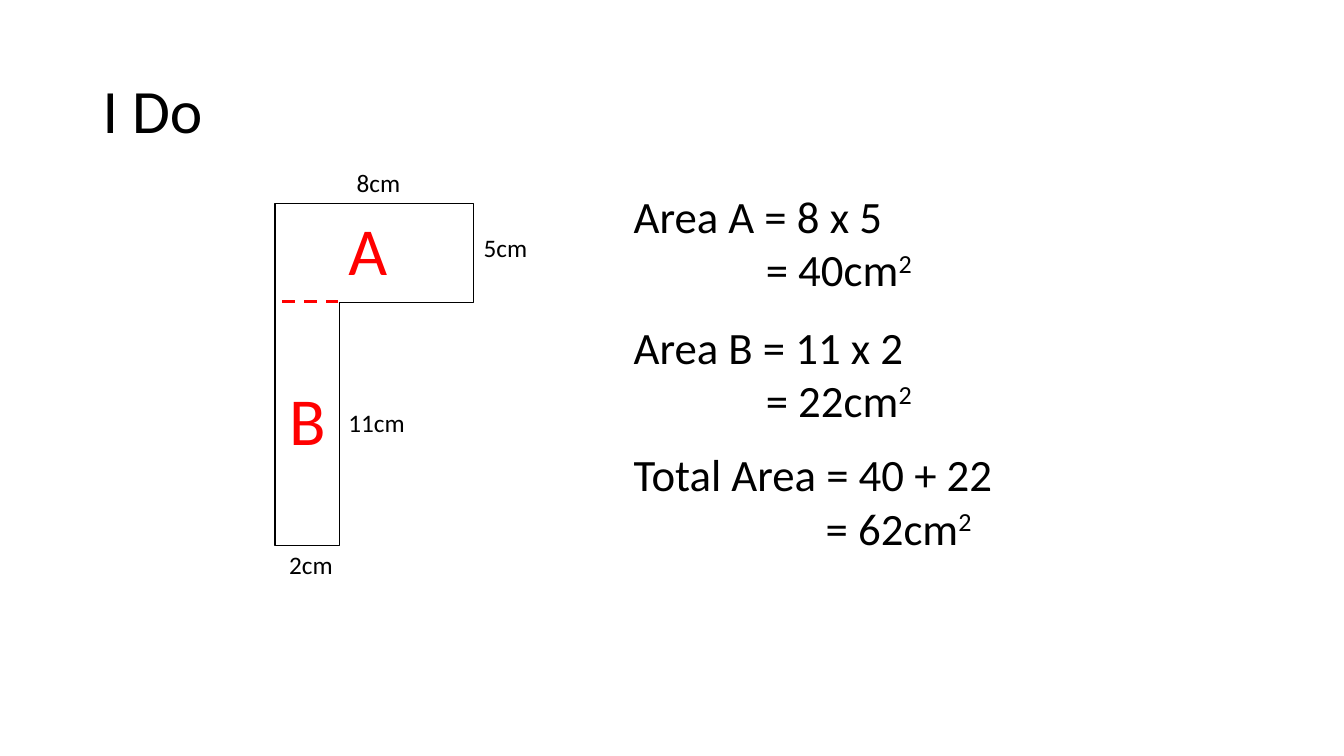
from lxml import etree
from pptx import Presentation
from pptx import util as u
from pptx.dml.color import RGBColor
from pptx.enum import dml, shapes, text
from pptx.oxml.ns import qn

BLACK, RED, WHITE = "000000", "FF0000", "FFFFFF"


def colour(value):
    return RGBColor.from_string(value)


def add_text(page, place, lines, size, ink=BLACK):
    box = page.shapes.add_textbox(*[u.Cm(length) for length in place])
    box.text_frame.word_wrap = True
    box.text_frame.text = "\n".join(lines)
    for para in box.text_frame.paragraphs:
        para.font.name = "Calibri"
        para.font.size = u.Pt(size)
        para.font.color.rgb = colour(ink)
    return box


deck = Presentation()
deck.slide_width, deck.slide_height = u.Cm(33.87), u.Cm(19.05)
page = deck.slides.add_slide(deck.slide_layouts[6])

# Title
title = add_text(page, (2.34, 1.02, 29.21, 3.68), ["I Do"], 44)
title.text_frame.vertical_anchor = text.MSO_ANCHOR.MIDDLE
title.text_frame.paragraphs[0].line_spacing = 0.9

# Compound shape
left, inner, right = u.Cm(6.93), u.Cm(8.55), u.Cm(11.93)
top, step, bottom = u.Cm(5.13), u.Cm(7.63), u.Cm(13.74)
outline = page.shapes.build_freeform(left, top)
outline.add_line_segments([(right, top), (right, step), (inner, step),
                           (inner, bottom), (left, bottom)], close=True)
figure = outline.convert_to_shape()
figure.shadow.inherit = False
figure.fill.solid()
figure.fill.fore_color.rgb = colour(WHITE)
figure.line.color.rgb = colour(BLACK)
figure.line.width = u.Pt(1)

# Side lengths
for label, x, y in [("5cm", 11.94, 5.72), ("11cm", 8.53, 10.13),
                    ("8cm", 8.74, 4.09), ("2cm", 7.04, 13.72)]:
    add_text(page, (x, y, 2.79, 1.02), [label], 18)

# Dashed split between the two rectangles
split = page.shapes.add_connector(
    shapes.MSO_CONNECTOR.STRAIGHT, u.Cm(8.53), u.Cm(7.59), u.Cm(6.93), u.Cm(7.59))
split.line.color.rgb = colour(RED)
split.line.width = u.Pt(2.25)
split.line.dash_style = dml.MSO_LINE.DASH
etree.SubElement(split._element.spPr, qn("a:effectLst"))

# Names of the rectangles
for letter, x, y in [("A", 8.53, 5.13), ("B", 7.04, 9.42)]:
    add_text(page, (x, y, 2.21, 2.31), [letter], 48, RED)

# Working: the second line is indented to align the equals signs
workings = [
    ("Area A = 8 x 5", "= 40cm", 4.62, 9.19, 3.33),
    ("Area B = 11 x 2", "= 22cm", 7.92, 9.19, 3.33),
    ("Total Area = 40 + 22", "= 62cm", 11.13, 10.39, 4.84),
]
for sum_line, result, y, width, indent in workings:
    box = add_text(page, (15.72, y, width, 3), [sum_line, result], 32)
    para = box.text_frame.paragraphs[1]
    para._p.get_or_add_pPr().set("marL", str(u.Cm(indent)))
    span = para.add_run()
    span.text = "2"
    span._r.get_or_add_rPr().set("baseline", "30000")

deck.save("out.pptx")
